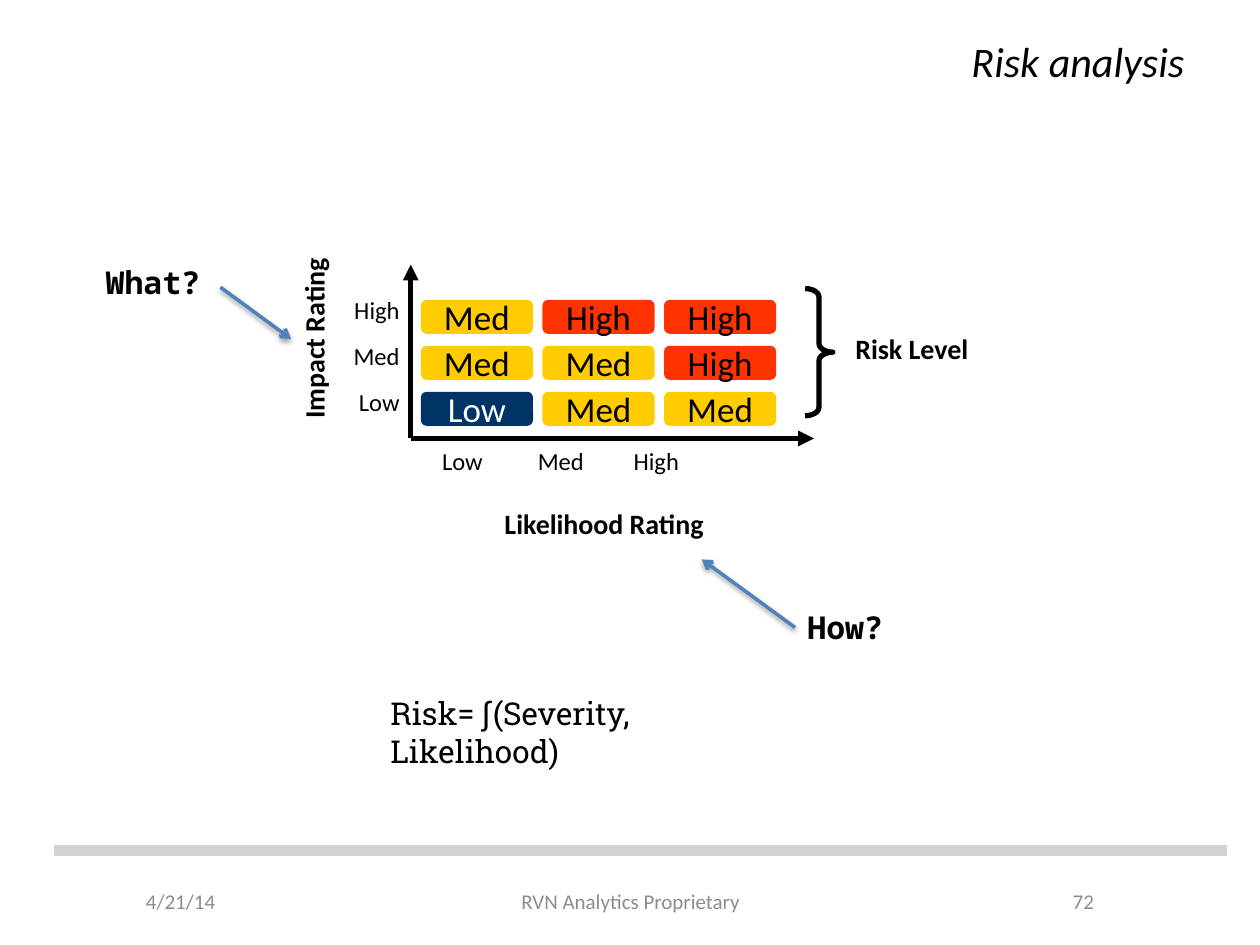
from dataclasses import dataclass

from lxml.etree import SubElement
from pptx import Presentation
from pptx.dml.color import RGBColor as RGB
from pptx.enum.shapes import MSO_CONNECTOR as CONN, MSO_SHAPE as SHAPE
from pptx.enum.text import MSO_ANCHOR as ANCHOR, PP_ALIGN as ALIGN
from pptx.oxml.ns import qn
from pptx.util import Inches, Pt


@dataclass(frozen=True)
class Theme:
    """Colours, fonts and type sizes of the slide."""
    black: str = "000000"
    white: str = "FFFFFF"
    muted: str = "8C8C8C"
    rule: str = "D1D2D3"
    arrow: str = "4F81BD"
    low: str = "003366"
    med: str = "FFCC00"
    high: str = "FF3300"
    body: str = "Calibri"
    mono: str = "Noto Sans Mono"
    serif: str = "Roboto Slab"
    title: int = 24
    rating: int = 20
    callout: int = 18
    heading: int = 16
    label: int = 14
    footer: int = 12


T = Theme()


def write(tf, text, size=T.label, color=T.black, font=T.body, bold=False,
          italic=False, align=ALIGN.LEFT, anchor=ANCHOR.TOP, wrap=True, tabs=()):
    """Put one formatted paragraph into a text frame."""
    tf.word_wrap, tf.vertical_anchor = wrap, anchor
    p = tf.paragraphs[0]
    p.alignment = align
    if tabs:
        stops = SubElement(p._p.get_or_add_pPr(), qn("a:tabLst"))
        for pos in tabs:
            SubElement(stops, qn("a:tab"), pos=str(Inches(pos)), algn="l")
    r = p.add_run()
    r.text = text
    r.font.name, r.font.size = font, Pt(size)
    r.font.bold, r.font.italic = bold, italic
    r.font.color.rgb = RGB.from_string(color)


class Deck:
    """Holds the theme and the current slide."""

    def __init__(self, theme):
        """Start a presentation with one title-only slide."""
        self.theme = theme
        self.prs = Presentation()
        self.prs.slide_width, self.prs.slide_height = Inches(10), Inches(7.5)
        self.s = self.prs.slides.add_slide(self.prs.slide_layouts[5])

    def title(self, text, x, y, w, h):
        """Fill and place the title placeholder."""
        sp = self.s.shapes.title
        sp.left, sp.top, sp.width, sp.height = map(Inches, (x, y, w, h))
        write(sp.text_frame, text, size=self.theme.title, italic=True,
              align=ALIGN.RIGHT, anchor=ANCHOR.MIDDLE)

    def text(self, text, x, y, w, h, rotation=0, **fmt):
        """Add a text box."""
        sp = self.s.shapes.add_textbox(*map(Inches, (x, y, w, h)))
        sp.rotation = rotation
        write(sp.text_frame, text, **fmt)
        return sp

    def rating(self, level, x, y, w, h):
        """Add a rounded cell coloured by its risk level."""
        t = self.theme
        sp = self.s.shapes.add_shape(SHAPE.ROUNDED_RECTANGLE, *map(Inches, (x, y, w, h)))
        sp.shadow.inherit = False
        sp.fill.solid()
        sp.fill.fore_color.rgb = RGB.from_string(getattr(t, level.lower()))
        sp.line.fill.background()
        write(sp.text_frame, level, size=t.rating, wrap=False, align=ALIGN.CENTER,
              color=t.white if level == "Low" else t.black, anchor=ANCHOR.MIDDLE)

    def brace(self, x, y, w, h):
        """Add a right brace."""
        sp = self.s.shapes.add_shape(SHAPE.RIGHT_BRACE, *map(Inches, (x, y, w, h)))
        sp.shadow.inherit = False
        sp.adjustments[0] = 0.31
        sp.fill.background()
        sp.line.color.rgb = RGB.from_string(self.theme.black)
        sp.line.width = Pt(3)

    def line(self, start, end, color, width, head=None, shadow=False):
        """Add a straight line with an optional arrowhead and shadow."""
        c = self.s.shapes.add_connector(CONN.STRAIGHT, *map(Inches, (*start, *end)))
        c.line.color.rgb = RGB.from_string(color)
        c.line.width = Pt(width)
        if head:
            SubElement(c.line._ln, qn("a:tailEnd"), type=head)
        effects = SubElement(c._element.spPr, qn("a:effectLst"))
        if shadow:
            outer = SubElement(effects, qn("a:outerShdw"), blurRad=str(Pt(3.1)),
                               dist=str(Pt(1.6)), dir="5400000", rotWithShape="0")
            clr = SubElement(outer, qn("a:srgbClr"), val=self.theme.black)
            SubElement(clr, qn("a:alpha"), val="38000")
        return c


def add_footer(d):
    """Draw the rule and the footer texts."""
    d.line((0.43, 6.75), (9.74, 6.75), T.rule, 6)
    for text, x, w, align in (("4/21/14", 1.06, 1.77, ALIGN.LEFT),
                              ("RVN Analytics Proprietary", 3.42, 3.17, ALIGN.CENTER),
                              ("72", 7.17, 1.61, ALIGN.RIGHT)):
        d.text(text, x, 6.95, w, 0.4, size=T.footer, color=T.muted,
               align=align, anchor=ANCHOR.MIDDLE)


def add_matrix(d):
    """Draw the risk matrix with its axes and labels."""
    heading = dict(size=T.heading, bold=True)
    col_step, row_step = 1.93 / 2, 0.73 / 2
    rows = (("High", ("Med", "High", "High")),
            ("Med", ("Med", "Med", "High")),
            ("Low", ("Low", "Med", "Med")))
    for i, (impact, levels) in enumerate(rows):
        d.text(impact, 2.45, 2.29 + i * row_step, 0.82, 0.34, align=ALIGN.RIGHT)
        for j, level in enumerate(levels):
            d.rating(level, 3.34 + j * col_step, 2.38 + i * row_step, 0.89, 0.27)
    origin = (3.26, 3.48)
    for end in ((6.46, 3.48), (3.26, 2.1)):
        d.line(origin, end, T.black, 3, head="triangle")
    d.text("Low\tMed\tHigh", 3.41, 3.49, 2.98, 0.34, tabs=(0.76, 1.52))
    d.text("Impact Rating", 1.2, 2.5, 2.58, 0.37, rotation=270,
           align=ALIGN.CENTER, **heading)
    d.text("Likelihood Rating", 3.68, 3.97, 2.23, 0.37, align=ALIGN.CENTER, **heading)
    d.brace(6.39, 2.29, 0.22, 1.01)
    d.text("Risk Level", 6.69, 2.58, 1.29, 0.37, **heading)


def add_callouts(d):
    """Draw the formula, the two questions and their arrows."""
    d.text("Risk= ∫(Severity, Likelihood)", 3, 5.46, 3.44, 0.4,
           size=T.callout, font=T.serif)
    question = dict(size=T.callout, font=T.mono, bold=True)
    d.text("What?", 0.74, 2.04, 1.25, 0.4, **question)
    how = d.text("How?", 6.31, 4.78, 1.25, 0.4, **question)
    arrow = dict(color=T.arrow, width=2, head="arrow", shadow=True)
    d.line((1.75, 2.28), (2.31, 2.69), **arrow)
    d.line((6.31, 4.98), (5.57, 4.44), **arrow).begin_connect(how, 1)


def main():
    """Build and save the slide."""
    d = Deck(T)
    add_footer(d)
    d.title("Risk analysis", 0.5, 0.21, 9, 0.55)
    add_matrix(d)
    add_callouts(d)
    d.prs.save("out.pptx")


if __name__ == "__main__":
    main()
